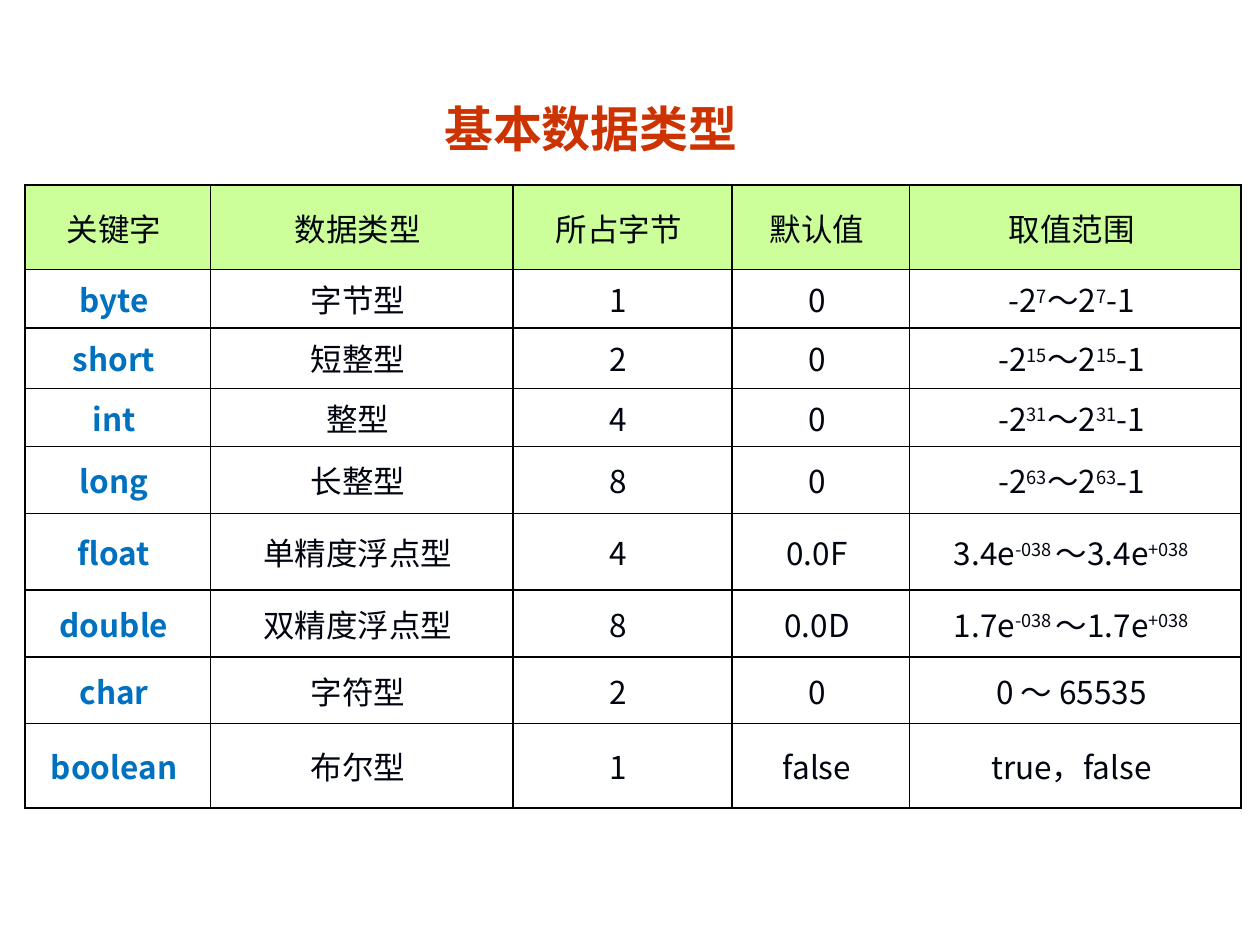
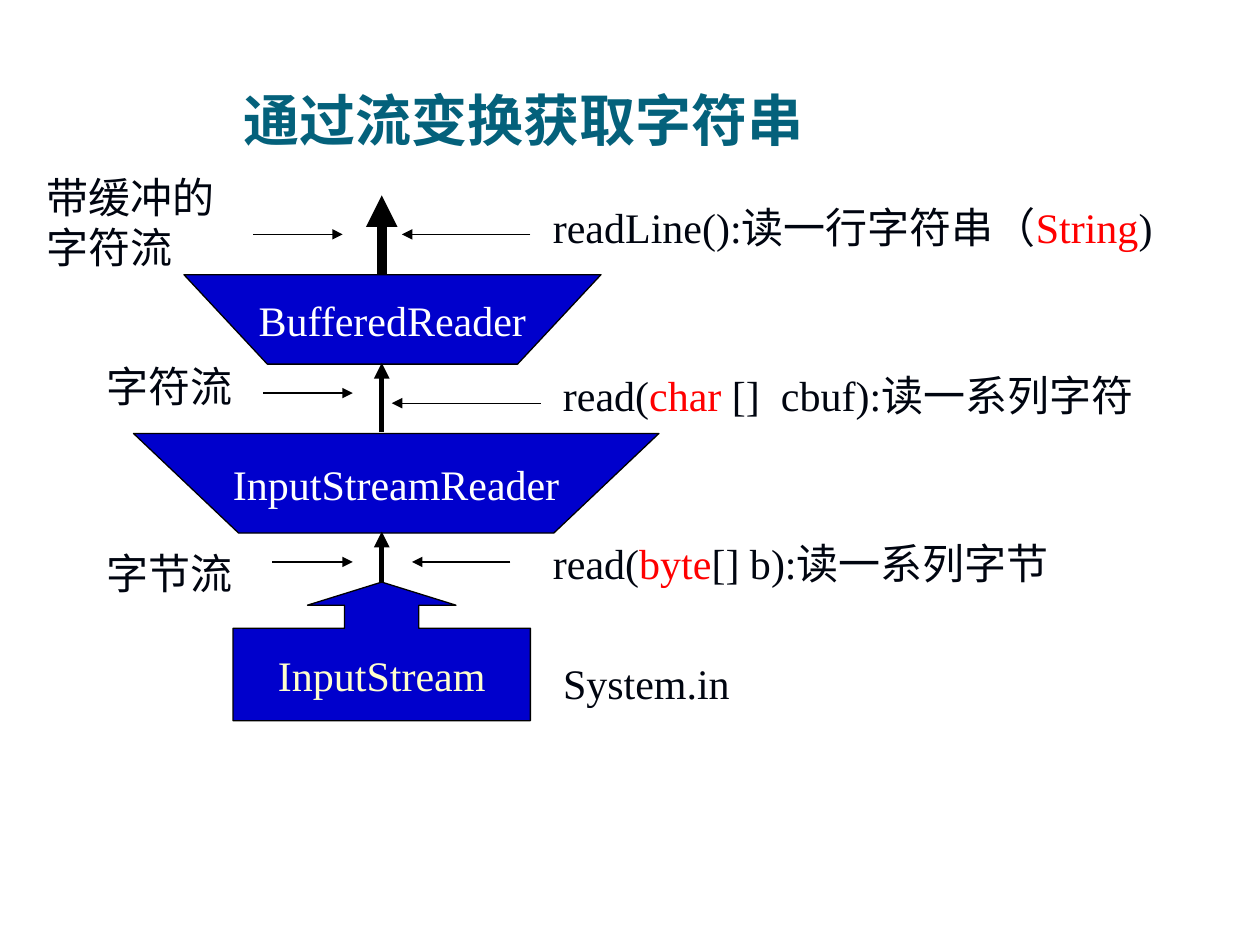
from lxml import etree
from pptx import Presentation, util as u
from pptx.dml.color import RGBColor
from pptx.enum import shapes, text
from pptx.oxml import ns

# Theme: colours, fonts, type sizes in points
THEME = dict(
    ink="000510", line="000000", head="CCFF99", key="0070C0", red="FF0000",
    block="0000CC", white="FFFFFF", cream="FFFFCC", rust="CC3300", teal="04617B",
    cjk="Noto Sans CJK SC", serif="Times New Roman",
    cell=18, label=24, thin=0.75, rule=1)
GRID = 100  # columns across the slide; rows use the same unit
WIDE, HIGH = u.Inches(10), u.Inches(7.5)
LEFT, MID = text.PP_ALIGN.LEFT, text.PP_ALIGN.CENTER

# Titles: words, box, size, font, colour, alignment, anchor
TITLES = [
    ("基本数据类型", (23.4, 7.3, 47, 5.2), 28, "Arial", "rust", MID,
     text.MSO_ANCHOR.MIDDLE),
    ("通过流变换获取字符串", (19.3, 2.8, 51.2, 9.3), 32, "Montserrat", "teal", LEFT,
     text.MSO_ANCHOR.BOTTOM),
]

# Table of types; words between stars are superscript
TYPES = [
    ("关键字", "数据类型", "所占字节", "默认值", "取值范围"),
    ("byte", "字节型", "1", "0", "-2*7*～2*7*-1"),
    ("short", "短整型", "2", "0", "-2*15*～2*15*-1"),
    ("int", "整型", "4", "0", "-2*31*～2*31*-1"),
    ("long", "长整型", "8", "0", "-2*63*～2*63*-1"),
    ("float", "单精度浮点型", "4", "0.0F", "3.4e*-038 *～3.4e*+038*"),
    ("double", "双精度浮点型", "8", "0.0D", "1.7e*-038 *～1.7e*+038*"),
    ("char", "字符型", "2", "0", "0 ～ 65535"),
    ("boolean", "布尔型", "1", "false", "true，false"),
]
COLS = (14.7, 24, 17.4, 14.1, 26.3)
ROWS = (6.7, 4.6, 4.8, 4.6, 5.3, 6.1, 5.3, 5.3, 6.7)

# Stream blocks: words, preset, box, text colour, adjustments
KIND = shapes.MSO_SHAPE
BLOCKS = [
    ("InputStreamReader", KIND.FLOWCHART_MANUAL_OPERATION,
     (10.6, 34.4, 41.7, 7.9), "white", ()),
    ("BufferedReader", KIND.FLOWCHART_MANUAL_OPERATION,
     (14.6, 21.8, 33.1, 7.1), "white", ()),
    ("InputStream", KIND.UP_ARROW_CALLOUT,
     (18.5, 46.2, 23.6, 11), "cream", (0.536, 0.536, 0.167, 0.667)),
]
# Upward flow on one axis: from row, to row, weight
AXIS = 30.3
FLOWS = [(46.2, 42.2, 3), (34.3, 28.8, 3), (21.8, 15.5, 6)]
# Pointers to the axis: row, from column, to column
HINTS = [
    (18.6, 20.1, 27.2), (18.6, 42.1, 31.9),
    (31.2, 20.9, 28), (32, 42.9, 31.1),
    (44.6, 21.6, 28), (44.6, 40.5, 32.7),
]
# Labels: words (red between stars), left, top, width
LABELS = [
    ("带缓冲的字符流", 2.7, 13.1, 16.5),
    ("字符流", 7.5, 28.1, 12.6),
    ("字节流", 7.5, 43, 13.4),
    ("readLine():读一行字符串（*String*)", 42.9, 15.5, 49.6),
    ("read(*char* []  cbuf):读一系列字符", 43.7, 28.8, 49.6),
    ("read(*byte*[] b):读一系列字节", 42.9, 42.2, 46.5),
    ("System.in", 43.7, 51.7, 16.5),
]


def unit(*spans):
    return [round(WIDE * s / GRID) for s in spans]


def tint(name):
    return RGBColor.from_string(THEME[name])


def write(par, words, size, face, color, align=LEFT, bold=False, mark=None):
    """Write runs; mark() formats the pieces between stars."""
    par.alignment = align
    for n, piece in enumerate(words.split("*")):
        if not piece:
            continue
        run = par.add_run()
        run.text = piece
        font = run.font
        font.size, font.name, font.bold = u.Pt(size), face, bold
        font.color.rgb = tint(color)
        props = run._r.get_or_add_rPr()
        etree.SubElement(props, ns.qn("a:ea"), typeface=THEME["cjk"])
        if n % 2:
            mark(run)


def raise_up(run):
    run._r.get_or_add_rPr().set("baseline", "30000")


def redden(run):
    run.font.color.rgb = tint("red")


def start(deck, words, box, size, face, color, align, anchor):
    """Add a slide with its title."""
    slide = deck.slides.add_slide(deck.slide_layouts[5])
    title = slide.shapes.title
    title.left, title.top, title.width, title.height = unit(*box)
    frame = title.text_frame
    frame.auto_size = text.MSO_AUTO_SIZE.NONE
    frame.word_wrap, frame.vertical_anchor = True, anchor
    frame.margin_left = frame.margin_right = frame.margin_bottom = 0
    write(frame.paragraphs[0], words, size, face, color, align, True)
    return slide


def border(cell):
    props = cell._tc.get_or_add_tcPr()
    for side in "LRTB":
        edge = etree.SubElement(props, ns.qn("a:ln" + side),
                                w=str(u.Pt(THEME["rule"])))
        fill = etree.SubElement(edge, ns.qn("a:solidFill"))
        etree.SubElement(fill, ns.qn("a:srgbClr"), val=THEME["line"])


def add_types(slide):
    box = unit(2, 14.7, sum(COLS), sum(ROWS))
    table = slide.shapes.add_table(len(ROWS), len(COLS), *box).table
    table.first_row = table.horz_banding = False
    for col, span in zip(table.columns, unit(*COLS)):
        col.width = span
    for row, span in zip(table.rows, unit(*ROWS)):
        row.height = span
    for r, line in enumerate(TYPES):
        for c, words in enumerate(line):
            cell = table.cell(r, c)
            border(cell)
            if r == 0:
                cell.fill.solid()
                cell.fill.fore_color.rgb = tint("head")
            else:
                cell.fill.background()
            cell.vertical_anchor = text.MSO_ANCHOR.MIDDLE
            cell.margin_right = u.Inches(0.16)
            key = r > 0 and c == 0
            write(cell.text_frame.paragraphs[0], words, THEME["cell"], THEME["cjk"],
                  "key" if key else "ink", MID, key, raise_up)


def add_block(slide, words, kind, box, color, adjust):
    block = slide.shapes.add_shape(kind, *unit(*box))
    block.shadow.inherit = False
    for n, value in enumerate(adjust):
        block.adjustments[n] = value
    block.fill.solid()
    block.fill.fore_color.rgb = tint("block")
    block.line.color.rgb = tint("line")
    block.line.width = u.Pt(THEME["thin"])
    frame = block.text_frame
    frame.word_wrap, frame.vertical_anchor = False, text.MSO_ANCHOR.MIDDLE
    write(frame.paragraphs[0], words, THEME["label"], THEME["serif"], color, MID)


def add_arrow(slide, ends, weight):
    arrow = slide.shapes.add_connector(shapes.MSO_CONNECTOR.STRAIGHT, *unit(*ends))
    arrow.line.color.rgb = tint("line")
    arrow.line.width = u.Pt(weight)
    etree.SubElement(arrow.line._get_or_add_ln(), ns.qn("a:tailEnd"), type="triangle")
    etree.SubElement(arrow._element.spPr, ns.qn("a:effectLst"))


def add_label(slide, words, left, top, width):
    frame = slide.shapes.add_textbox(*unit(left, top, width, 5)).text_frame
    frame.word_wrap = True
    write(frame.paragraphs[0], words, THEME["label"], THEME["serif"], "ink",
          mark=redden)


def add_streams(slide):
    for block in BLOCKS:
        add_block(slide, *block)
    for low, high, weight in FLOWS:
        add_arrow(slide, (AXIS, low, AXIS, high), weight)
    for row, tail, tip in HINTS:
        add_arrow(slide, (tail, row, tip, row), THEME["thin"])
    for label in LABELS:
        add_label(slide, *label)


def main():
    deck = Presentation()
    deck.slide_width, deck.slide_height = WIDE, HIGH
    for title, fill in zip(TITLES, (add_types, add_streams)):
        fill(start(deck, *title))
    deck.save("out.pptx")


if __name__ == "__main__":
    main()
